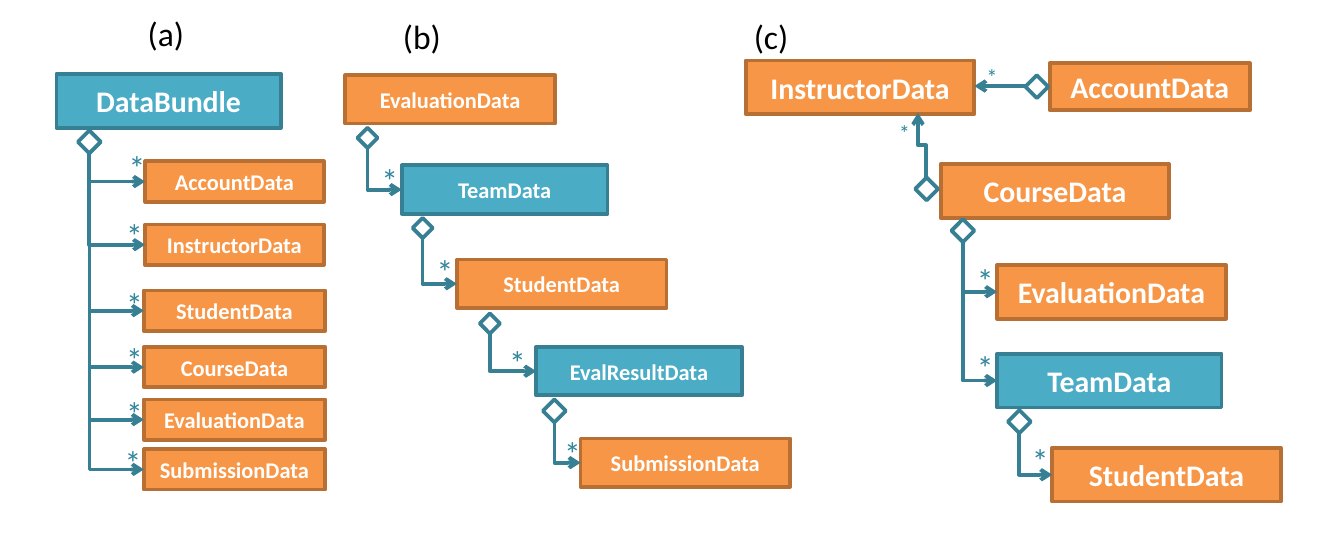
import pptx
import pptx.dml.color
import pptx.enum.dml
import pptx.enum.shapes
import pptx.enum.text
import pptx.oxml
import pptx.oxml.ns
import pptx.util

PX = 9144  # 100 px to the inch
RGB = pptx.dml.color.RGBColor.from_string
SHAPE = pptx.enum.shapes.MSO_SHAPE
LINK = pptx.enum.shapes.MSO_CONNECTOR
THEME = {
    "font": "Calibri",
    "orange": ("F79646", "B76F34"),
    "blue": ("4BACC6", "377F92"),
    "diamond": ("FFFFFF", "377F92"),
    "link": "377F92",
    "star": "31859C",
    "label": "000000",
    "box text": "FFFFFF",
    "small": 12, "medium": 16, "large": 18,
    "stroke": 2,
}

deck = pptx.Presentation()
deck.slide_width, deck.slide_height = 1000 * PX, 400 * PX
slide = deck.slides.add_slide(deck.slide_layouts[6])


def add_part(kind, colours, left, top, width, height, text="", size="small"):
    """Add a filled, outlined shape, or a bare text box when kind is None."""
    frame = [value * PX for value in (left, top, width, height)]
    if kind is None:
        part = slide.shapes.add_textbox(*frame)
        part.text_frame.auto_size = pptx.enum.text.MSO_AUTO_SIZE.SHAPE_TO_FIT_TEXT
        text_colour = colours
    else:
        part = slide.shapes.add_shape(kind, *frame)
        part.shadow.inherit = False
        part.fill.solid()
        part.fill.fore_color.rgb = RGB(colours[0])
        part.line.color.rgb = RGB(colours[1])
        part.line.width = pptx.util.Pt(THEME["stroke"])
        part.text_frame.margin_left = part.text_frame.margin_right = 0
        part.text_frame.vertical_anchor = pptx.enum.text.MSO_ANCHOR.MIDDLE
        text_colour = THEME["box text"]
    part.text_frame.word_wrap = True
    if text:
        paragraph = part.text_frame.paragraphs[0]
        if kind is not None:
            paragraph.alignment = pptx.enum.text.PP_ALIGN.CENTER
        run = paragraph.add_run()
        run.text = text
        run.font.name = THEME["font"]
        run.font.size = pptx.util.Pt(THEME[size])
        run.font.bold = kind is not None
        run.font.color.rgb = RGB(text_colour)


def add_arrow(x1, y1, x2, y2, bend=None, flip=None):
    """Add an arrow; a bent one is turned so that it leaves its start vertically."""
    if bend:
        middle_x, middle_y = (x1 + x2) / 2, (y1 + y2) / 2
        half_w, half_h = abs(y2 - y1) / 2, abs(x2 - x1) / 2
        x1, x2 = middle_x - half_w, middle_x + half_w
        y1, y2 = middle_y - half_h, middle_y + half_h
    ends = [int(value * PX) for value in (x1, y1, x2, y2)]
    arrow = slide.shapes.add_connector(LINK.ELBOW if bend else LINK.STRAIGHT, *ends)
    properties = arrow._element.spPr
    if bend:
        properties.find(pptx.oxml.ns.qn("a:prstGeom")).set("prst", bend)
        transform = properties.find(pptx.oxml.ns.qn("a:xfrm"))
        transform.set("rot", "16200000")
        transform.set(flip, "1")
    arrow.line.color.rgb = RGB(THEME["link"])
    arrow.line.width = pptx.util.Pt(THEME["stroke"])
    namespace = pptx.oxml.ns.nsdecls("a")
    arrow.line._get_or_add_ln().append(
        pptx.oxml.parse_xml(f'<a:tailEnd {namespace} type="arrow"/>'))
    properties.append(pptx.oxml.parse_xml(f"<a:effectLst {namespace}/>"))


for label, left, top, width in [("(a)", 100, 5, 58), ("(b)", 290, 7, 54), ("(c)", 551, 7, 58)]:
    add_part(None, THEME["label"], left, top, width, 40, label, "large")

# Classes that no vertical composition leads to: name, colour, frame, text size
roots = [
    ("DataBundle", "blue", (42, 55, 167, 40), "medium"),
    ("EvaluationData", "orange", (257, 56, 156, 36), "small"),
    ("InstructorData", "orange", (555, 45, 170, 40), "medium"),
    ("AccountData", "orange", (781, 47, 149, 35), "medium"),
    ("CourseData", "orange", (700, 122, 170, 40), "medium"),
]
for name, colour, frame, size in roots:
    add_part(SHAPE.RECTANGLE, THEME[colour], *frame, name, size)

# Owner's diamond (left, top, side), text size, then its members:
# name, colour, frame, and left and top of the multiplicity star
compositions = [
    ((58, 97, 17), "small", [
        ("AccountData", "orange", (108, 120, 133, 30), (86, 104)),
        ("InstructorData", "orange", (108, 167, 133, 30), (84, 155)),
        ("StudentData", "orange", (107, 216, 135, 30), (84, 206)),
        ("CourseData", "orange", (107, 258, 135, 30), (84, 247)),
        ("EvaluationData", "orange", (107, 297, 135, 30), (84, 287)),
        ("SubmissionData", "orange", (107, 334, 135, 30), (83, 324)),
    ]),
    ((266, 95, 15), "small", [("TeamData", "blue", (299, 123, 153, 36), (274, 114))]),
    ((307, 162, 15), "small", [("StudentData", "orange", (340, 193, 156, 36), (315, 182))]),
    ((357, 233, 15), "small", [("EvalResultData", "blue", (399, 258, 153, 36), (369, 249))]),
    ((404, 297, 17), "small", [("SubmissionData", "orange", (432, 326, 156, 36), (410, 317))]),
    ((708, 163, 17), "medium", [
        ("EvaluationData", "orange", (742, 197, 170, 40), (717, 188)),
        ("TeamData", "blue", (742, 263, 167, 40), (717, 253)),
    ]),
    ((750, 305, 17), "medium", [("StudentData", "orange", (783, 333, 170, 40), (758, 322))]),
]
for (left, top, side), size, members in compositions:
    add_part(SHAPE.FLOWCHART_DECISION, THEME["diamond"], left, top, side, side)
    for name, colour, frame, star in members:
        add_part(SHAPE.RECTANGLE, THEME[colour], *frame, name, size)
        add_arrow(left + side / 2, top + side, frame[0], frame[1] + frame[3] / 2,
                  "bentConnector2", "flipH")
        add_part(None, THEME["star"], *star, 23, 40, "*", "large")

# CourseData and AccountData both lead back to InstructorData
for left, top in [(681, 132), (763, 56)]:
    add_part(SHAPE.FLOWCHART_DECISION, THEME["diamond"], left, top, 17, 17)
add_arrow(689, 132, 683, 84, "bentConnector3", "flipV")
add_arrow(763, 64, 725, 64)
for left, top in [(659, 84), (724, 42)]:
    add_part(None, THEME["star"], left, top, 25, 30, "*", "small")

deck.save("out.pptx")
